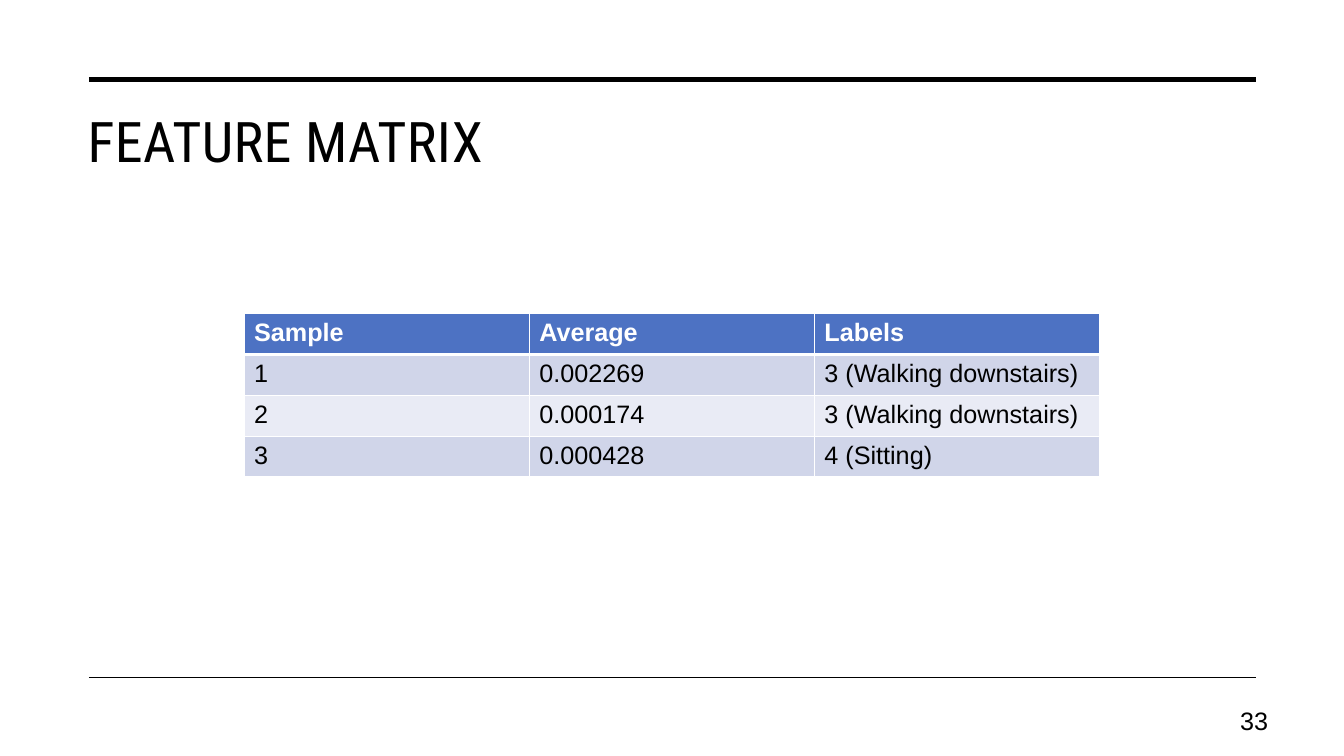
from dataclasses import dataclass

from lxml.etree import SubElement
from pptx import Presentation
from pptx.dml.color import RGBColor as Color
from pptx.enum.shapes import MSO_CONNECTOR as Connector
from pptx.enum.text import MSO_ANCHOR as Anchor, PP_ALIGN as Align
from pptx.oxml.ns import qn
from pptx.util import Cm, Pt


@dataclass(frozen=True)
class Theme:
    """Colours, fonts and type sizes of the deck."""
    ink: str = "000000"
    paper: str = "FFFFFF"
    header: str = "4D72C3"
    bands: tuple = ("D0D5E9", "E9EBF5")
    title_font: str = "Roboto Condensed"
    body_font: str = "Arial"
    title_size: int = 40
    body_size: int = 18


THEME = Theme()
ROWS = [
    ("Sample", "Average", "Labels"),
    ("1", "0.002269", "3 (Walking downstairs)"),
    ("2", "0.000174", "3 (Walking downstairs)"),
    ("3", "0.000428", "4 (Sitting)"),
]


def style(para, name, size, color, bold=False):
    """Set the font of a whole paragraph."""
    para.font.name = name
    para.font.size = Pt(size)
    para.font.bold = bold
    para.font.color.rgb = Color.from_string(color)


def add_rule(page, left, top, width, weight):
    """Draw a horizontal rule."""
    rule = page.shapes.add_connector(
        Connector.STRAIGHT, Cm(left), Cm(top), Cm(left + width), Cm(top))
    rule.line.color.rgb = Color.from_string(THEME.ink)
    rule.line.width = Pt(weight)
    SubElement(rule._element.spPr, qn("a:effectLst"))


def add_text(page, box, text, name, size):
    """Place one line of text in a box and return its frame."""
    frame = page.shapes.add_textbox(*map(Cm, box)).text_frame
    frame.word_wrap = True
    para = frame.paragraphs[0]
    para.text = text
    style(para, name, size, THEME.ink)
    return frame


def add_title(page, box, text):
    """Place the slightly letterspaced title."""
    frame = add_text(page, box, text, THEME.title_font, THEME.title_size)
    span = frame.paragraphs[0].runs[0]
    span.font._element.set("spc", "30")


def add_page_number(page, box, number):
    """Place the page number at the right of its box."""
    frame = add_text(page, box, number, THEME.body_font, THEME.body_size)
    frame.vertical_anchor = Anchor.MIDDLE
    frame.paragraphs[0].alignment = Align.RIGHT


def add_borders(cell, top, bottom):
    """Give a cell white borders, with top and bottom widths in points."""
    properties = cell._tc.get_or_add_tcPr()
    for side, weight in (("L", 1), ("R", 1), ("T", top), ("B", bottom)):
        border = SubElement(properties, qn(f"a:ln{side}"), w=str(Pt(weight)))
        fill = SubElement(border, qn("a:solidFill"))
        SubElement(fill, qn("a:srgbClr"), val=THEME.paper)


def add_feature_table(page, box, rows):
    """Fill the box with a banded table under a header row."""
    table = page.shapes.add_table(len(rows), len(rows[0]), *map(Cm, box)).table
    for row, values in enumerate(rows):
        is_header = row == 0
        fill = THEME.header if is_header else THEME.bands[(row - 1) % 2]
        color = THEME.paper if is_header else THEME.ink
        for column, value in enumerate(values):
            cell = table.cell(row, column)
            add_borders(cell, 3 if row == 1 else 1, 3 if is_header else 1)
            cell.fill.solid()
            cell.fill.fore_color.rgb = Color.from_string(fill)
            cell.text = value
            style(cell.text_frame.paragraphs[0], THEME.body_font,
                  THEME.body_size, color, is_header)


def add_matrix_slide(page, left, top, width, height):
    """Lay out the title, table and page number between two rules."""
    add_rule(page, left, top, width, 3.5)
    add_rule(page, left, top + height, width, 1)
    add_title(page, (left - 0.28, top + 0.56, width + 0.28, 3.81), "FEATURE MATRIX")
    add_feature_table(page, (left + 3.91, top + 5.89, 21.56, 4.12), ROWS)
    add_page_number(page, (left + width - 1.32, top + height + 0.58, 1.88, 1.02), "33")


def main():
    """Build and save the deck."""
    deck = Presentation()
    deck.slide_width, deck.slide_height = Cm(33.87), Cm(19.05)
    page = deck.slides.add_slide(deck.slide_layouts[6])
    add_matrix_slide(page, 2.24, 2.01, 29.41, 15.06)
    deck.save("out.pptx")


if __name__ == "__main__":
    main()
